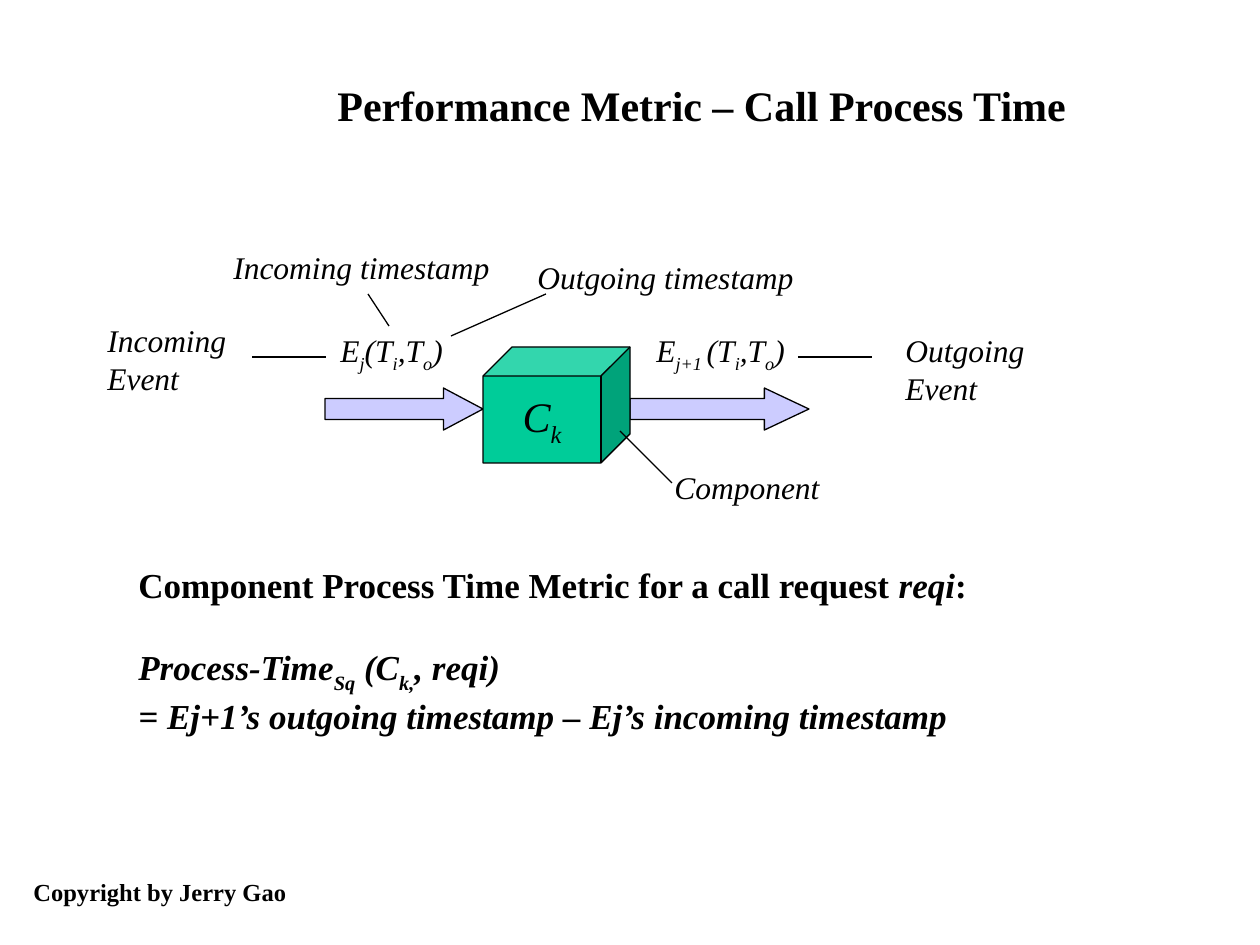
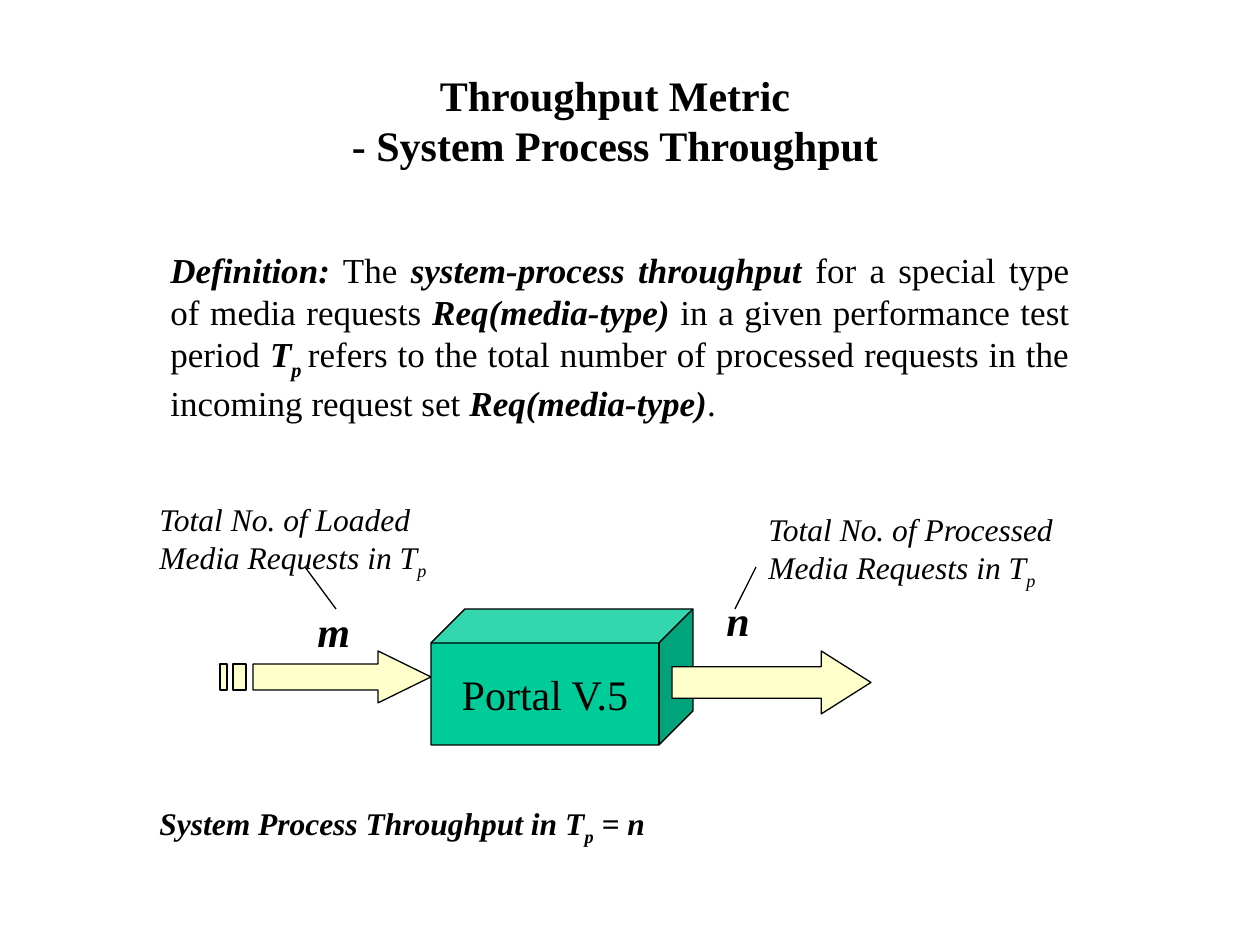
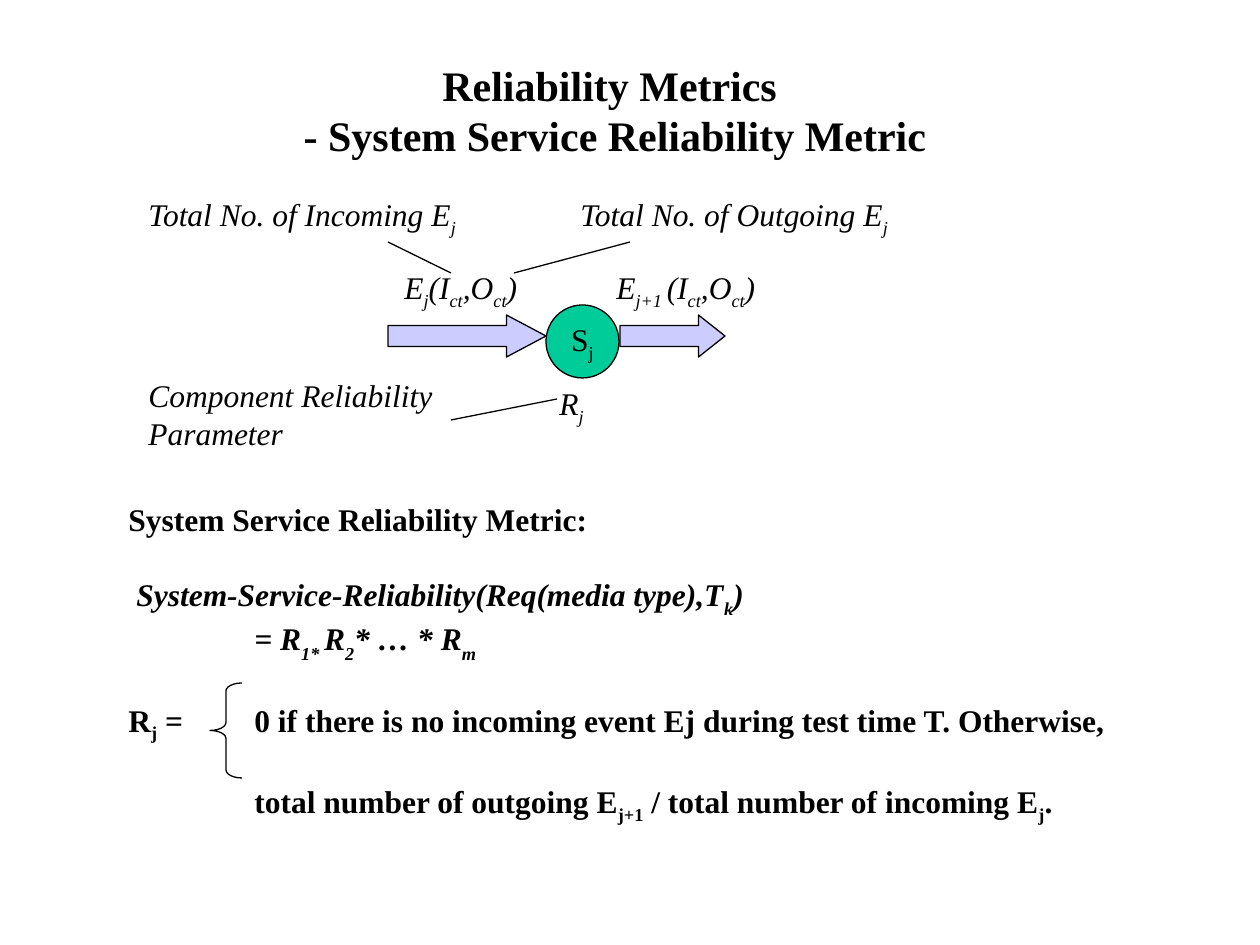
import pptx
import pptx.dml.color
import pptx.enum.shapes
import pptx.enum.text
import pptx.oxml
import pptx.oxml.ns
import pptx.util

SCALE = pptx.util.Inches(1) / 126
FONT = "Times New Roman"
BLACK = pptx.dml.color.RGBColor(0x00, 0x00, 0x00)
GREEN = pptx.dml.color.RGBColor(0x00, 0xCC, 0x99)
LILAC = pptx.dml.color.RGBColor(0xCC, 0xCC, 0xFF)
CREAM = pptx.dml.color.RGBColor(0xFF, 0xFF, 0xCC)

KIND = pptx.enum.shapes.MSO_SHAPE
ALIGN = pptx.enum.text.PP_ALIGN
TITLE = {"size": 24, "bold": True}
LABEL = {"size": 18, "italic": True}
STRONG = {"size": 18, "bold": True, "italic": True}
BIG = {"size": 24, "bold": True, "italic": True}


def px(value):
    return round(value * SCALE)


# Text: "~" turns the flip styles on or off, "_" starts or ends a
# subscript, and "_|" starts a deeper one.
def add_run(para, text, look):
    run = para.add_run()
    run.text = text
    values = {"name": FONT, **look, "size": pptx.util.Pt(look["size"])}
    for key, value in values.items():
        setattr(run.font, key, value)
    run.font.color.rgb = BLACK
    return run


def add_text(para, text, look, flip):
    for turn, part in enumerate(text.split("~")):
        style = dict(look)
        if turn % 2:
            style.update({key: not look.get(key, False) for key in flip})
        for low, word in enumerate(part.split("_")):
            if not word:
                continue
            run = add_run(para, word.lstrip("|"), style)
            if low % 2:
                depth = "-30000" if word.startswith("|") else "-25000"
                run._r.get_or_add_rPr().set("baseline", depth)


def set_left(para, left, tab):
    props = para._p.get_or_add_pPr()
    if left:
        props.set("marL", str(px(left)))
        props.set("indent", "0")
    if tab:
        stops = pptx.oxml.parse_xml(
            f'<a:tabLst {pptx.oxml.ns.nsdecls("a")}>'
            f'<a:tab pos="{px(tab)}" algn="l"/></a:tabLst>')
        props.append(stops)


def fill_frame(frame, lines, look, align, flip=("italic",)):
    for pos, line in enumerate(lines):
        text, extra = line if isinstance(line, tuple) else (line, {})
        para = frame.add_paragraph() if pos else frame.paragraphs[0]
        para.alignment = align
        if "space" in extra:
            para.space_before = pptx.util.Pt(extra["space"])
        set_left(para, extra.get("left"), extra.get("tab"))
        add_text(para, text, look, flip)


def add_box(slide, place, lines, look=LABEL, align=ALIGN.LEFT,
            flip=("italic",)):
    box = slide.shapes.add_textbox(*map(px, place))
    values = {"word_wrap": True,
              "auto_size": pptx.enum.text.MSO_AUTO_SIZE.SHAPE_TO_FIT_TEXT}
    for key, value in values.items():
        setattr(box.text_frame, key, value)
    fill_frame(box.text_frame, lines, look, align, flip)


def add_title(slide, top, lines):
    add_box(slide, (158, top, 914, 113), lines, TITLE, ALIGN.CENTER)


# Shapes and lines
def set_style(shape, color):
    shape.shadow.inherit = False
    if color is None:
        shape.fill.background()
    else:
        shape.fill.solid()
        shape.fill.fore_color.rgb = color
    set_line(shape)


def set_line(shape):
    shape.line.color.rgb = BLACK
    shape.line.width = pptx.util.Pt(0.75)


def add_form(slide, kind, place, color, ratios=()):
    shape = slide.shapes.add_shape(kind, *map(px, place))
    for pos, ratio in enumerate(ratios):
        shape.adjustments[pos] = ratio
    set_style(shape, color)
    return shape


def add_node(slide, kind, place, text, look):
    node = add_form(slide, kind, place, GREEN)
    values = {"word_wrap": False,
              "vertical_anchor": pptx.enum.text.MSO_ANCHOR.MIDDLE}
    for key, value in values.items():
        setattr(node.text_frame, key, value)
    fill_frame(node.text_frame, [text], look, ALIGN.CENTER)


def add_arrow(slide, place, color, head):
    add_form(slide, KIND.RIGHT_ARROW, place, color, (0.5, head))


def add_line(slide, *ends):
    line = slide.shapes.add_connector(
        pptx.enum.shapes.MSO_CONNECTOR.STRAIGHT, *map(px, ends))
    set_line(line)
    line._element.spPr.append(pptx.oxml.parse_xml(
        f'<a:effectLst {pptx.oxml.ns.nsdecls("a")}/>'))


def add_striped(slide, color):
    top, high, mid, low, end = range(651, 704, 13)
    arrow = [(253, high), (378, high), (378, top), (431, mid),
             (378, end), (378, low), (253, low)]
    bars = [[(left, high), (right, high), (right, low), (left, low)]
            for left, right in ((220, 227), (233, 246))]
    form = slide.shapes.build_freeform(*arrow[0], scale=SCALE)
    form.add_line_segments(arrow[1:], close=True)
    for bar in bars:
        form.move_to(*bar[0])
        form.add_line_segments(bar[1:], close=True)
    set_style(form.convert_to_shape(), color)


# Slides
def make_call(slide):
    add_box(slide, (325, 73, 766, 63),
            ["Performance Metric – Call Process Time"], TITLE)
    add_arrow(slide, (325, 388, 158, 42), LILAC, 0.94)
    add_arrow(slide, (630, 388, 179, 42), LILAC, 1.06)
    add_node(slide, KIND.CUBE, (483, 347, 147, 116), "C_k_",
             {"size": 24, "italic": True})
    for place, lines in (
            ((328, 325, 133, 55), ["E_j_(T_i_,T_o_)"]),
            ((644, 325, 160, 55), ["E_j+1 _(T_i_,T_o_)"]),
            ((221, 242, 287, 50), ["Incoming timestamp"]),
            ((525, 252, 287, 50), ["Outgoing timestamp"]),
            ((95, 315, 157, 88), ["Incoming", "Event"]),
            ((893, 325, 157, 88), ["Outgoing", "Event"]),
            ((662, 462, 176, 50), ["Component"])):
        add_box(slide, place, lines)
    for ends in ((451, 336, 546, 294), (389, 326, 368, 294),
                 (252, 357, 326, 357), (798, 357, 872, 357),
                 (620, 431, 672, 483)):
        add_line(slide, *ends)
    add_box(slide, (126, 557, 955, 231), [
        "Component Process Time Metric for a call request ~reqi~:",
        ("~Process-Time_|Sq_ (C_|k,_, reqi)~", {"space": 23}),
        "~= Ej+1’s outgoing timestamp – Ej’s incoming timestamp~",
    ], {"size": 20, "bold": True}, ALIGN.JUSTIFY)
    add_box(slide, (21, 871, 284, 43), ["Copyright by Jerry Gao"],
            {"size": 14, "bold": True})


def make_flow(slide):
    add_title(slide, 63, ["Throughput Metric", "- System Process Throughput"])
    add_box(slide, (158, 242, 924, 189), [
        "~Definition:~ The ~system-process throughput~ for a special type of "
        "media requests ~Req(media-type)~ in a given performance test period "
        "~T_|p _~refers to the total number of processed requests in the "
        "incoming request set ~Req(media-type)~."
    ], {"size": 20}, ALIGN.JUSTIFY, ("bold", "italic"))
    add_striped(slide, CREAM)
    add_box(slide, (305, 599, 64, 63), ["m"], BIG)
    add_box(slide, (714, 588, 49, 63), ["n"], BIG)
    add_node(slide, KIND.CUBE, (431, 609, 262, 136), "Portal V.5",
             {"size": 24})
    add_arrow(slide, (672, 651, 199, 63), CREAM, 0.79)
    add_line(slide, 305, 567, 336, 609)
    add_line(slide, 756, 567, 735, 609)
    for place, word in (((147, 494, 294, 93), "Loaded"),
                        ((756, 504, 325, 93), "Processed")):
        add_box(slide, place, [f"Total No. of {word} Media Requests in T_p_"])
    add_box(slide, (147, 798, 651, 55),
            ["System Process Throughput in T_p_ = n"], STRONG)


def make_trust(slide):
    add_title(slide, 53, ["Reliability Metrics ",
                          "- System Service Reliability Metric"])
    add_box(slide, (116, 494, 1029, 347), [
        "System Service Reliability Metric:",
        ("~System-Service-Reliability(Req(media type),T_|k_)~",
         {"space": 21, "left": 8}),
        ("~= R_|1* _R_|2_* … * R_|m_~", {"left": 126}),
        ("R_j_ =\t0 if there is no incoming event Ej during test time T. "
         "Otherwise,", {"space": 21, "tab": 126}),
        ("total number of outgoing E_j+1_ / total number of incoming E_j_.",
         {"space": 22, "left": 126}),
    ], {"size": 18, "bold": True}, ALIGN.JUSTIFY)
    add_node(slide, KIND.OVAL, (546, 305, 73, 73), "S_j_", {"size": 18})
    add_arrow(slide, (388, 315, 158, 42), LILAC, 0.94)
    add_arrow(slide, (620, 315, 105, 42), LILAC, 0.63)
    for place, lines in (
            ((392, 262, 143, 55), ["E_j_(I_ct_,O_ct_)"]),
            ((604, 262, 170, 55), ["E_j+1 _(I_ct_,O_ct_)"]),
            ((547, 378, 55, 55), ["R_j_"]),
            ((136, 370, 325, 88), ["Component Reliability", "Parameter"]),
            ((136, 189, 336, 55), ["Total No. of Incoming E_j_"]),
            ((568, 189, 341, 55), ["Total No. of Outgoing E_j_"])):
        add_box(slide, place, lines)
    for ends in ((451, 420, 557, 399), (514, 273, 630, 242),
                 (451, 273, 388, 242)):
        add_line(slide, *ends)
    add_form(slide, KIND.LEFT_BRACE, (210, 683, 32, 95), None, (0.25, 0.5))


def main():
    deck = pptx.Presentation()
    deck.slide_width, deck.slide_height = px(1260), px(945)
    for make in (make_call, make_flow, make_trust):
        make(deck.slides.add_slide(deck.slide_layouts[6]))
    deck.save("out.pptx")


if __name__ == "__main__":
    main()
